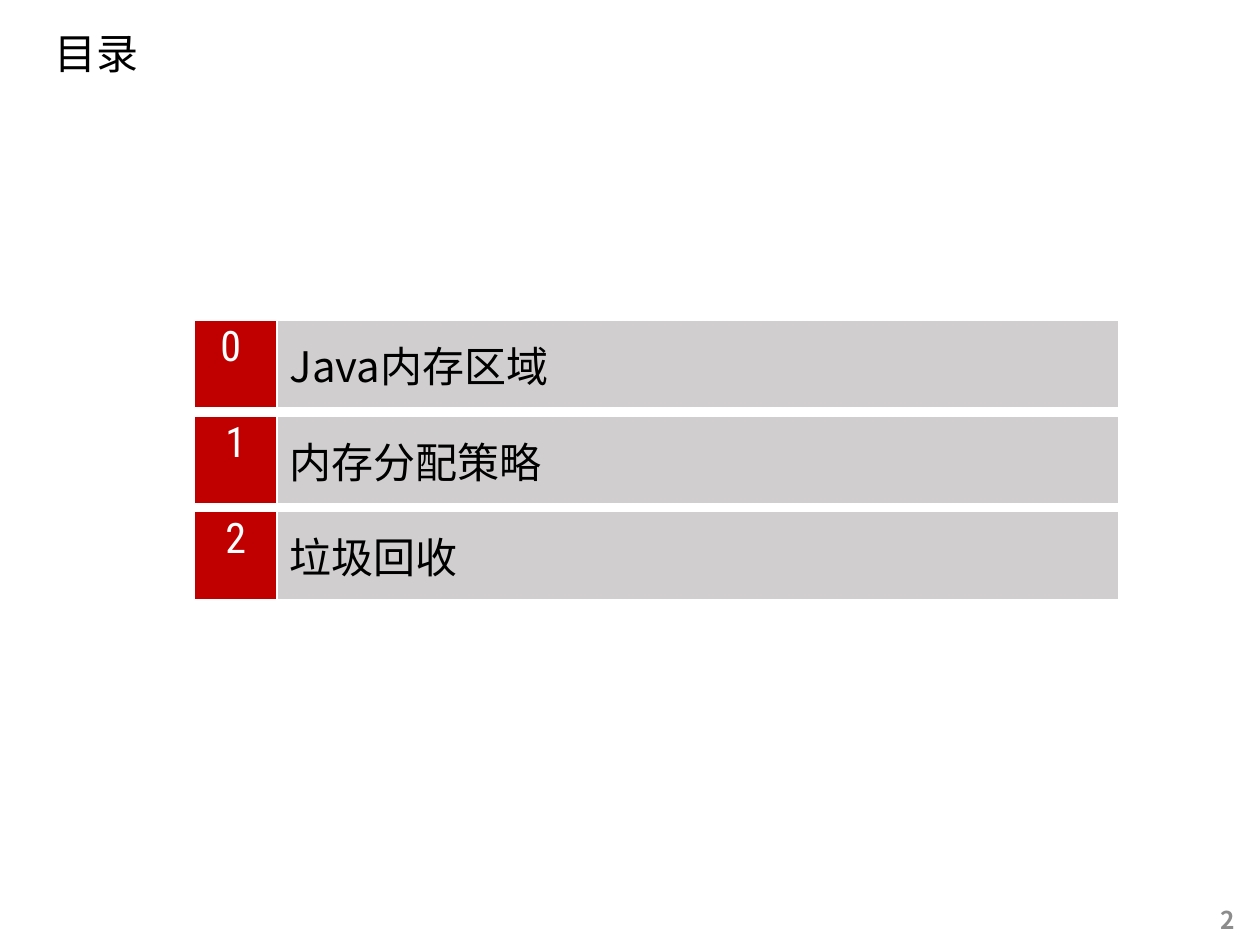
import pptx
import pptx.util
import pptx.dml.color
import pptx.enum.text
import pptx.oxml
import pptx.oxml.ns

Inches, Pt = pptx.util.Inches, pptx.util.Pt
RGB = pptx.dml.color.RGBColor.from_string
Align, Anchor = pptx.enum.text.PP_ALIGN, pptx.enum.text.MSO_ANCHOR

# Content
TITLE = "目录"
TOPICS = [("0 ", "Java内存区域"), ("1", "内存分配策略"), ("2", "垃圾回收")]
PAGE = "2"

# Theme
THEME = {
    "sans": "Noto Sans CJK SC", "digit": "Roboto Condensed",
    "black": "000000", "white": "FFFFFF", "red": "C00000",
    "pale": "D0CECE", "gray": "8C8C8C",
    "text": 24, "page": 14, "rule": 6,
}

# Layout, in inches
TITLE_BOX = (0.23, 0.23, 3.78, 0.42)
PAGE_BOX = (9.25, 7.22, 0.65, 0.16)
LEFT, TOP, ROW = 1.54, 2.51, 0.76
COLS = (0.66, 6.68)


def write(frame, text, face, color, size="text", align=Align.LEFT, bold=False):
    para = frame.paragraphs[0]
    para.text = text
    para.alignment = align
    font = para.font
    font.size, font.bold = Pt(THEME[size]), bold
    font.color.rgb = RGB(THEME[color])
    font.name = THEME[face]
    props = para._p.pPr.find(pptx.oxml.ns.qn("a:defRPr"))
    east = props.makeelement(pptx.oxml.ns.qn("a:ea"), {"typeface": THEME[face]})
    props.append(east)
    return para


def border(cell, sides):
    props = cell._tc.get_or_add_tcPr()
    for spot, side in enumerate(sides):
        props.insert(spot, pptx.oxml.parse_xml(
            f'<a:{side} {pptx.oxml.ns.nsdecls("a")} w="{Pt(THEME["rule"])}">'
            f'<a:solidFill><a:srgbClr val="{THEME["white"]}"/></a:solidFill>'
            f'</a:{side}>'))


def main():
    deck = pptx.Presentation()
    deck.slide_width, deck.slide_height = Inches(10), Inches(7.5)
    slide = deck.slides.add_slide(deck.slide_layouts[5])

    # Title
    title = slide.shapes.title
    title.left, title.top, title.width, title.height = map(Inches, TITLE_BOX)
    frame = title.text_frame
    frame.vertical_anchor = Anchor.MIDDLE
    frame.margin_left = frame.margin_right = Inches(0.2)
    write(frame, TITLE, "sans", "black").line_spacing = 0.9

    # Page number
    frame = slide.shapes.add_textbox(*map(Inches, PAGE_BOX)).text_frame
    frame.word_wrap = True
    frame.vertical_anchor = Anchor.MIDDLE
    write(frame, PAGE, "sans", "gray", "page", Align.RIGHT, True)

    # Table of topics
    count = len(TOPICS)
    table = slide.shapes.add_table(
        count, len(COLS), Inches(LEFT), Inches(TOP),
        Inches(sum(COLS)), Inches(ROW * count)).table
    table.first_row = table.horz_banding = False
    for col, width in zip(table.columns, COLS):
        col.width = Inches(width)
    looks = [("digit", "white", "red", Align.CENTER, Anchor.TOP),
             ("sans", "black", "pale", Align.LEFT, Anchor.MIDDLE)]
    for row, topic in enumerate(TOPICS):
        for col, (face, ink, fill, align, anchor) in enumerate(looks):
            cell = table.cell(row, col)
            cell.fill.solid()
            cell.fill.fore_color.rgb = RGB(THEME[fill])
            cell.vertical_anchor = anchor
            write(cell.text_frame, topic[col], face, ink, align=align)
            border(cell, ("lnL", "lnR", "lnT", "lnB")[2:])

    deck.save("out.pptx")


if __name__ == "__main__":
    main()
